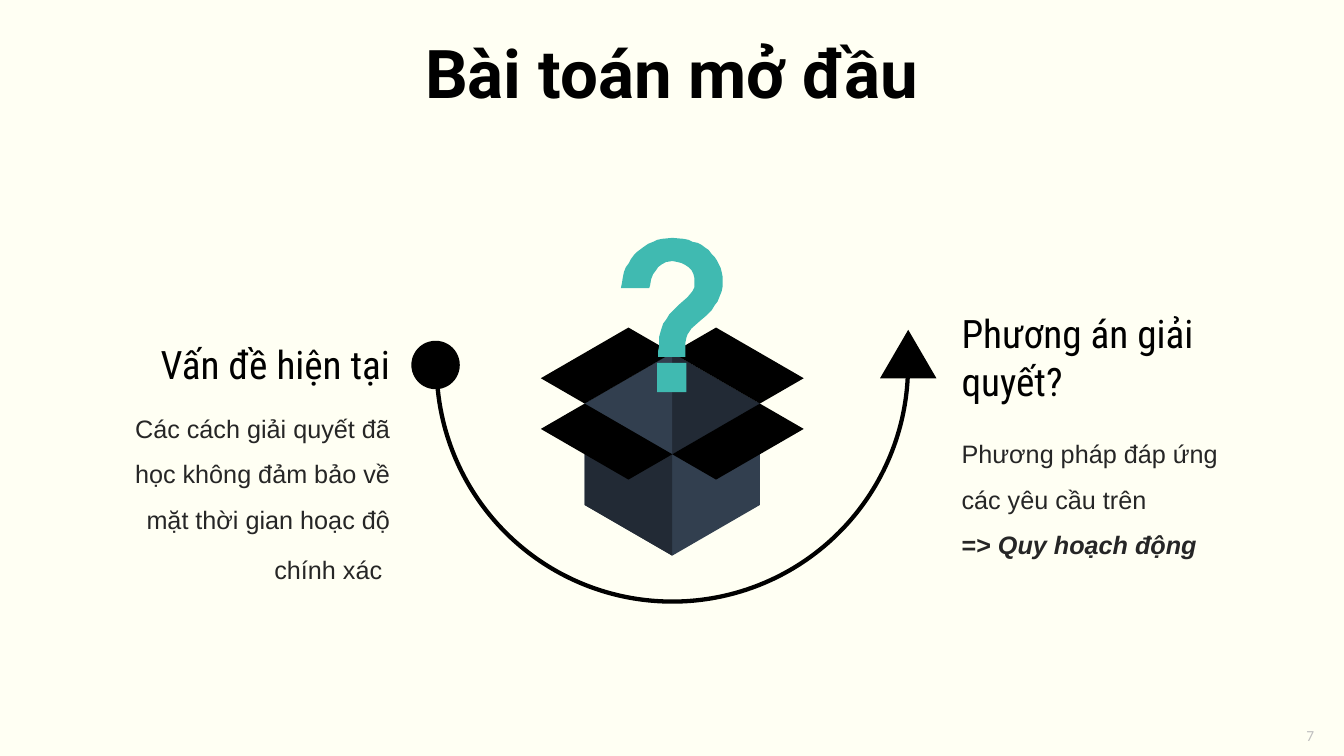
from pptx import Presentation
from pptx.dml.color import RGBColor
from pptx.enum.shapes import MSO_SHAPE
from pptx.enum.text import MSO_ANCHOR, PP_ALIGN
from pptx.util import Pt

CREAM = RGBColor(0xFF, 0xFF, 0xF3)
BLACK = RGBColor(0, 0, 0)
SLATE = RGBColor(0x32, 0x3F, 0x4F)
NAVY = RGBColor(0x22, 0x2A, 0x35)
TEAL = RGBColor(0x40, 0xBA, 0xB1)
INK = RGBColor(0x26, 0x26, 0x26)
GREY = RGBColor(0xBF, 0xBF, 0xBF)

TITLE = {"name": "Roboto", "size": Pt(48), "bold": True, "color": BLACK}
HEAD = {"name": "Roboto Condensed", "size": Pt(28), "color": BLACK}
BODY = {"name": "Arial", "size": Pt(18), "color": INK}
PAGE = {"name": "Calibri", "size": Pt(11), "color": GREY}

FLAP = [(0, 2), (1, 3), (3, 1), (2, 0)]
LOWER = [(x, 6 - y) for x, y in FLAP]
FACES = [
    ([(3, 1), (1, 3), (1, 7), (3, 9), (5, 7), (5, 3)], SLATE),
    ([(5, 3), (3, 1), (1, 3), (3, 5)], NAVY),
    ([(1, 3), (1, 7), (3, 9), (3, 5)], NAVY),
    ([(3, 1), (1, 3), (3, 5)], SLATE),
]
for flap in (FLAP, LOWER):
    FACES += [(flap, BLACK), ([(6 - x, y) for x, y in flap], BLACK)]

HOOK = [
    (616, 286), (617, 281), (618, 275), (619, 270), (621, 265), (624, 261),
    (626, 257), (629, 253), (632, 250), (636, 247), (640, 244), (643, 242),
    (648, 240), (652, 238), (657, 237), (667, 236), (678, 237), (683, 238),
    (687, 240), (692, 241), (696, 243), (700, 246), (703, 248), (706, 252),
    (709, 255), (711, 258), (713, 262), (715, 266), (716, 270), (717, 275),
    (717, 284), (716, 289), (714, 294), (712, 299), (709, 303), (706, 308),
    (701, 313), (695, 318), (686, 326), (682, 332), (681, 335), (680, 340),
    (680, 354), (653, 354), (653, 348), (654, 343), (654, 334), (656, 327),
    (658, 321), (661, 317), (664, 312), (669, 307), (674, 302), (682, 295),
    (687, 289), (689, 285), (689, 276), (688, 272), (686, 268), (683, 265),
    (680, 263), (676, 261), (672, 260), (667, 259), (661, 260), (657, 262),
    (653, 265), (651, 268), (648, 272), (646, 277), (645, 283), (644, 286),
]
DOT = [(681, 389), (652, 389), (652, 360), (681, 360)]


class Deck:
    """Hold the slide and draw each kind of element on it."""

    def __init__(self):
        self.prs = Presentation()
        self.prs.slide_width, self.prs.slide_height = Pt(960), Pt(540)
        self.slide = self.prs.slides.add_slide(self.prs.slide_layouts[6])
        self.shapes = self.slide.shapes
        self.paint(self.slide.background, CREAM)

    def paint(self, item, color):
        item.fill.solid()
        item.fill.fore_color.rgb = color

    def finish(self, shape, color):
        self.paint(shape, color)
        shape.line.fill.background()
        shape.shadow.inherit = False

    def text(self, box, lines, style, align, inset=(0, 0), indent=0, space=None):
        frame = self.shapes.add_textbox(*map(Pt, box)).text_frame
        wide, high = map(Pt, inset)
        form = {
            "word_wrap": True, "vertical_anchor": MSO_ANCHOR.MIDDLE,
            "margin_left": wide, "margin_right": wide,
            "margin_top": high, "margin_bottom": high,
        }
        for key, value in form.items():
            setattr(frame, key, value)
        para = frame.paragraphs[0]
        para.alignment = align
        if space:
            para.line_spacing = space
        if indent:
            para._p.get_or_add_pPr().set("marL", str(Pt(indent)))
        for row, runs in enumerate(lines):
            if row:
                para.add_line_break()
            for words, extra in runs:
                run = para.add_run()
                run.text = words
                for key, value in {**style, **extra}.items():
                    if key == "color":
                        run.font.color.rgb = value
                    else:
                        setattr(run.font, key, value)

    def shape(self, kind, box, color, turn=0, adjust=()):
        shape = self.shapes.add_shape(kind, *map(Pt, box))
        shape.rotation = turn
        for index, value in enumerate(adjust):
            shape.adjustments[index] = value
        self.finish(shape, color)

    def outline(self, home, rings, color, start=(0, 0), step=(0.72, 0.72)):
        rings = [
            [tuple(Pt(a + b * c) for a, b, c in zip(start, step, spot)) for spot in ring]
            for ring in rings
        ]
        pen = home.build_freeform(*rings[0][0], scale=1.0)
        for index, ring in enumerate(rings):
            if index:
                pen.move_to(*ring[0])
            pen.add_line_segments(ring[1:], close=True)
        self.finish(pen.convert_to_shape(), color)

    def column(self, left, align, head, head_box, lines):
        top, high = head_box
        self.text((left, 270.7, 221, 160.6), lines, BODY, align, indent=5.76, space=1.5)
        self.text((left, top, 221, high), [[(head, {})]], HEAD, align, indent=5.76)


def main():
    deck = Deck()
    mid = PP_ALIGN.CENTER
    deck.text((912.2, 511.2, 47.5, 28.8), [[("7", {})]], PAGE, mid, (7.2, 3.6))
    deck.text((97.2, 25.9, 765.4, 50.4), [[("Bài toán mở đầu", {})]], TITLE, mid, (7.2, 3.6))
    crate = deck.shapes.add_group_shape().shapes
    for face, color in FACES:
        deck.outline(crate, [face], color, (386.3, 234), (31.3, 18.1))
    deck.outline(deck.shapes, [HOOK, DOT], TEAL)
    deck.shape(MSO_SHAPE.BLOCK_ARC, (310.3, 91.4, 339.8, 339.8), BLACK, 180, (108, 0.405, 0.009))
    deck.column(57.6, PP_ALIGN.RIGHT, "Vấn đề hiện tại", (242.6, 34.6), [[
        ("Các cách giải quyết đã học không đảm bảo về mặt thời gian hoạc độ chính xác", {}),
        (" ", {"size": Pt(20)}),
    ]])
    deck.shape(MSO_SHAPE.OVAL, (293.8, 243.4, 34.6, 34.6), BLACK)
    deck.shape(MSO_SHAPE.ISOSCELES_TRIANGLE, (628.6, 235.6, 40.3, 34.6), BLACK)
    deck.column(681.1, PP_ALIGN.LEFT, "Phương án giải quyết?", (233.3, 43.2), [
        [("Phương pháp đáp ứng các yêu cầu trên", {})],
        [("=> ", {"bold": True}), ("Quy hoạch động", {"bold": True, "italic": True})],
    ])
    deck.prs.save("out.pptx")


if __name__ == "__main__":
    main()
